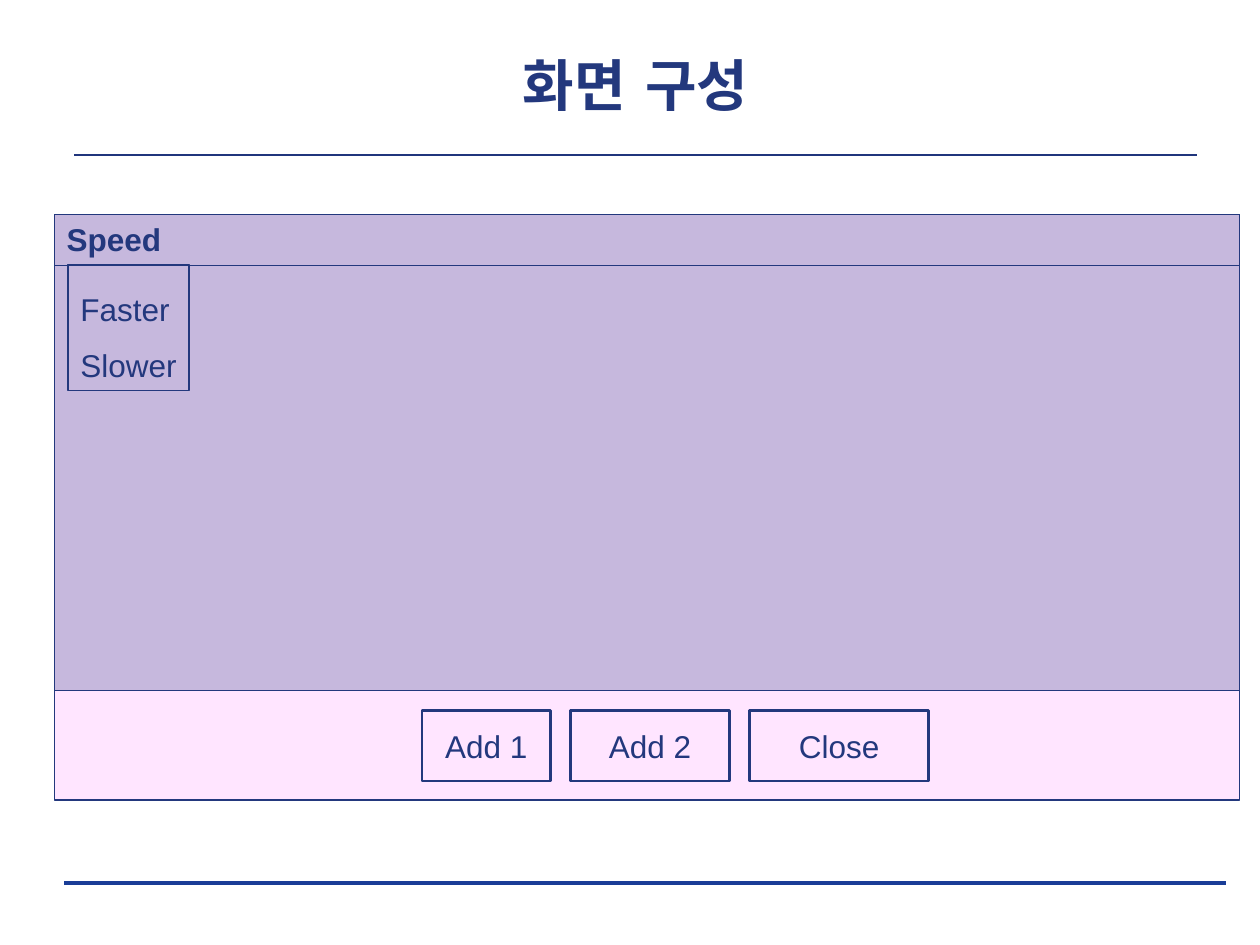
import pptx
import pptx.dml.color
import pptx.enum.shapes
import pptx.enum.text
import pptx.oxml.ns
import pptx.util
from lxml import etree

NAVY = pptx.dml.color.RGBColor(0x23, 0x38, 0x7D)
TITLE_RULE = pptx.dml.color.RGBColor(0x20, 0x35, 0x7C)
FOOTER_RULE = pptx.dml.color.RGBColor(0x1A, 0x3D, 0x97)
PINK = pptx.dml.color.RGBColor(0xFF, 0x9B, 0xFF)

COLUMNS, ROWS = 100, 75
CELL = pptx.util.Inches(0.1)
WINDOW_LEFT, WINDOW_TOP, WINDOW_WIDTH = 4.3, 17, 94.1
BUTTON_LEFT, BUTTON_TOP, BUTTON_HEIGHT, BUTTON_GAP = 33.5, 56.4, 5.6, 1.6
BUTTONS = (("Add 1", 10.2), ("Add 2", 12.6), ("Close", 14.2))

TOP = pptx.enum.text.MSO_ANCHOR.TOP
MIDDLE = pptx.enum.text.MSO_ANCHOR.MIDDLE
LEFT = pptx.enum.text.PP_ALIGN.LEFT
CENTER = pptx.enum.text.PP_ALIGN.CENTER
LABEL_FONT = {"name": "Arial", "size": pptx.util.Pt(18), "bold": False}
TITLE_FONT = {"name": "DejaVu Sans", "size": pptx.util.Pt(32), "bold": True}


def cells(*counts):
    return [round(count * CELL) for count in counts]


def apply_format(target, values):
    for attribute, value in values.items():
        setattr(target, attribute, value)


def write_lines(frame, lines, font, align, anchor, spacing=1.0, wrap=True):
    apply_format(frame, {
        "text": "\n".join(lines),
        "auto_size": pptx.enum.text.MSO_AUTO_SIZE.NONE,
        "vertical_anchor": anchor,
        "word_wrap": wrap,
    })
    for paragraph in frame.paragraphs:
        apply_format(paragraph, {"alignment": align, "line_spacing": spacing})
        for run in paragraph.runs:
            apply_format(run.font, font)
            run.font.color.rgb = NAVY


def add_rule(slide, left, right, row, color, weight):
    rule = slide.shapes.add_connector(
        pptx.enum.shapes.MSO_CONNECTOR.STRAIGHT, *cells(left, row, right, row))
    rule.line.color.rgb = color
    rule.line.width = pptx.util.Pt(weight)
    etree.SubElement(rule._element.spPr, pptx.oxml.ns.qn("a:effectLst"))


def add_frame(slide, area, weight):
    frame = slide.shapes.add_shape(
        pptx.enum.shapes.MSO_SHAPE.RECTANGLE, *cells(*area))
    frame.shadow.inherit = False
    frame.fill.background()
    frame.line.color.rgb = NAVY
    frame.line.width = pptx.util.Pt(weight)
    return frame


def add_panel(slide, height, color):
    panel = add_frame(slide, (WINDOW_LEFT, WINDOW_TOP, WINDOW_WIDTH, height), 0.75)
    panel.fill.solid()
    panel.fill.fore_color.rgb = color
    tint = panel._element.spPr.find(".//" + pptx.oxml.ns.qn("a:srgbClr"))
    etree.SubElement(tint, pptx.oxml.ns.qn("a:alpha"), val="26000")


def add_buttons(slide):
    left = BUTTON_LEFT
    for label, width in BUTTONS:
        button = add_frame(slide, (left, BUTTON_TOP, width, BUTTON_HEIGHT), 1.5)
        write_lines(button.text_frame, [label], LABEL_FONT, CENTER, MIDDLE)
        left += width + BUTTON_GAP


def add_menu(slide):
    bar = add_frame(slide, (WINDOW_LEFT, WINDOW_TOP, WINDOW_WIDTH, 4.1), 0.75)
    write_lines(bar.text_frame, ["Speed"], {**LABEL_FONT, "bold": True}, LEFT, TOP)
    choices = add_frame(slide, (5.4, 21, 9.6, 10), 1)
    write_lines(choices.text_frame, ["Faster", "Slower"], LABEL_FONT, LEFT, TOP,
                spacing=1.5, wrap=False)


def set_title(slide, wording):
    title = slide.shapes.title
    left, top, width, height = cells(6, 3.5, 88.9, 8.4)
    apply_format(title, {"left": left, "top": top, "width": width, "height": height})
    write_lines(title.text_frame, [wording], TITLE_FONT, CENTER, TOP)
    properties = title.text_frame.paragraphs[0].runs[0].font._element
    etree.SubElement(properties, pptx.oxml.ns.qn("a:ea"), typeface=TITLE_FONT["name"])


def main():
    deck = pptx.Presentation()
    deck.slide_width, deck.slide_height = cells(COLUMNS, ROWS)
    slide = deck.slides.add_slide(deck.slide_layouts.get_by_name("Title Only"))
    set_title(slide, "화면 구성")
    add_rule(slide, 5.1, 97.3, 70.1, FOOTER_RULE, 0)
    add_rule(slide, 5.9, 95, 12.3, TITLE_RULE, 0.75)
    add_panel(slide, 46.5, PINK)
    add_panel(slide, 37.8, NAVY)
    add_buttons(slide)
    add_menu(slide)
    deck.save("out.pptx")


if __name__ == "__main__":
    main()
